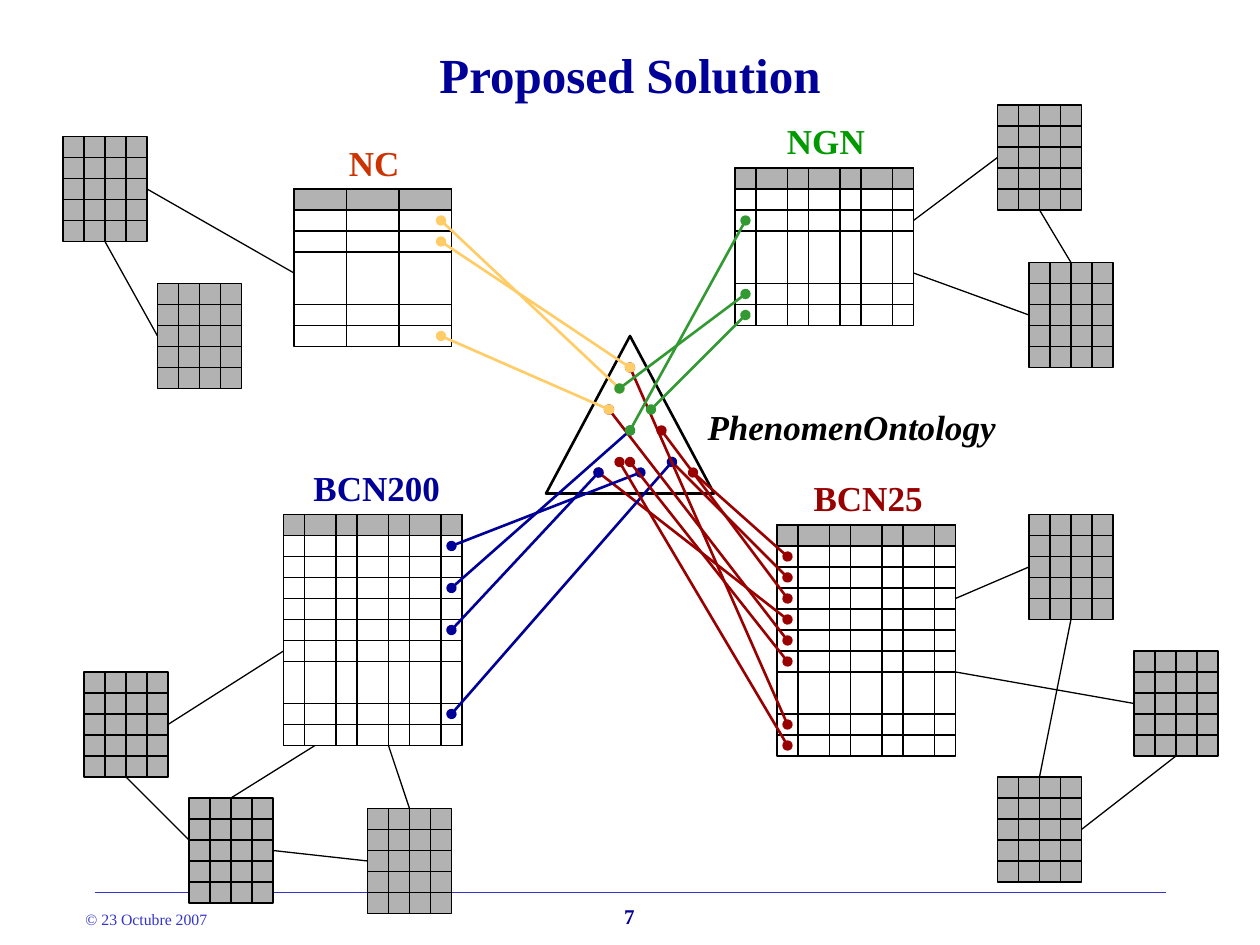
"""Build the Proposed Solution slide: four source tables linked to a shared ontology."""
from dataclasses import dataclass
from typing import NamedTuple, Union

from lxml import etree
from pptx import Presentation
from pptx.dml.color import RGBColor
from pptx.enum.shapes import MSO_CONNECTOR, MSO_SHAPE
from pptx.enum.text import MSO_ANCHOR, MSO_AUTO_SIZE, PP_ALIGN
from pptx.oxml.ns import qn
from pptx.util import Inches, Pt

STRAIGHT = MSO_CONNECTOR.STRAIGHT
RECTANGLE, TRIANGLE = MSO_SHAPE.RECTANGLE, MSO_SHAPE.ISOSCELES_TRIANGLE
LEFT_ALIGN, CENTER = PP_ALIGN.LEFT, PP_ALIGN.CENTER
TOP_ANCHOR, MIDDLE = MSO_ANCHOR.TOP, MSO_ANCHOR.MIDDLE
NO_RESIZE, FIT_TEXT = MSO_AUTO_SIZE.NONE, MSO_AUTO_SIZE.SHAPE_TO_FIT_TEXT
TOP, LEFT, BOTTOM, RIGHT = range(4)
UNITS_PER_INCH = 12


@dataclass(frozen=True)
class Theme:
    font: str = "Times New Roman"
    black: str = "000000"
    gray: str = "B2B2B2"
    navy: str = "000099"
    footer: str = "3333CC"
    orange: str = "CC3300"
    green: str = "009900"
    red: str = "990000"
    green_link: str = "339933"
    yellow_link: str = "FFCC66"
    title_size: float = 28
    label_size: float = 20
    number_size: float = 12
    footer_size: float = 9
    thin: float = 0.75
    footer_rule: float = 1
    thick: float = 1.5


THEME = Theme()


class Point(NamedTuple):
    x: float
    y: float


class Side(NamedTuple):
    node: str
    site: int


class Table(NamedTuple):
    name: str
    x: int
    y: int
    width: int
    height: int
    columns: tuple
    rows: tuple


class Label(NamedTuple):
    text: str
    box: tuple
    color: str
    italic: bool = False


class Links(NamedTuple):
    color: str
    ends: tuple


End = Union[Point, Side]
WIDE_COLUMNS = ((0, 15), (2, 17), (5, 10), (7, 12))
TALL_ROWS, SHORT_ROWS = (4, 8, 12, 18), (4, 11)
TABLES = (
    Table("BCN200", 27, 49, 17, 22, WIDE_COLUMNS, TALL_ROWS),
    Table("BCN25", 74, 50, 17, 22, WIDE_COLUMNS, TALL_ROWS),
    Table("NGN", 70, 16, 17, 15, WIDE_COLUMNS, SHORT_ROWS),
    Table("NC", 28, 18, 15, 15, ((0, 15), (5, 10)), SHORT_ROWS),
)
SATELLITES = {
    "BCN200 left": Point(8, 64), "BCN200 lower": Point(18, 76),
    "NC left": Point(6, 13), "NC lower": Point(15, 27),
    "NGN upper": Point(95, 10), "NGN lower": Point(98, 25),
    "BCN25 upper": Point(98, 49), "BCN25 right": Point(108, 62),
    "BCN25 lower": Point(95, 74), "BCN200 right": Point(35, 77),
}
RELATIONS = (
    (Side("BCN200 left", RIGHT), Point(27, 62)),
    (Side("BCN200 lower", TOP), Point(30, 71)),
    (Side("BCN200 right", TOP), Point(37, 71)),
    (Side("BCN200 left", BOTTOM), Point(18, 80)),
    (Side("BCN200 lower", RIGHT), Side("BCN200 right", LEFT)),
    (Side("NC left", BOTTOM), Side("NC lower", LEFT)),
    (Side("NC left", RIGHT), Point(28, 26)),
    (Side("BCN25 lower", TOP), Side("BCN25 upper", BOTTOM)),
    (Point(91, 57), Side("BCN25 upper", LEFT)),
    (Point(91, 64), Side("BCN25 right", LEFT)),
    (Side("BCN25 right", BOTTOM), Side("BCN25 lower", RIGHT)),
    (Side("NGN upper", BOTTOM), Side("NGN lower", TOP)),
    (Side("NGN upper", LEFT), Side("NGN row 4", RIGHT)),
    (Point(87, 26), Side("NGN lower", LEFT)),
)
MAPPINGS = (
    Links(THEME.red, ((75, 53, 66, 45), (75, 55, 64, 44), (75, 57, 63, 41), (75, 59, 57, 45))),
    Links(THEME.navy, ((43, 60, 57, 45), (43, 68, 64, 44), (43, 56, 60, 41), (43, 52, 61, 45))),
    Links(THEME.red, ((58, 39, 75, 61), (75, 63, 60, 44), (75, 69, 60, 35), (75, 71, 59, 44))),
    Links(THEME.green_link, ((71, 21, 60, 41), (71, 30, 62, 39))),
    Links(THEME.yellow_link, ((42, 32, 58, 39), (42, 23, 60, 35), (42, 21, 59, 37))),
    Links(THEME.green_link, ((71, 28, 59, 37),)),
)
LABELS = (
    Label("NC", (2.67, 1.07, 0.6, 0.44), THEME.orange),
    Label("NGN", (6.14, 0.9, 0.83, 0.44), THEME.green),
    Label("BCN200", (2.37, 3.65, 1.24, 0.44), THEME.navy),
    Label("BCN25", (6.34, 3.73, 1.1, 0.44), THEME.red),
    Label("PhenomenOntology", (5.51, 3.17, 2.5, 0.44), THEME.black, True),
)


def grid(units: float) -> Inches:
    return Inches(units / UNITS_PER_INCH)


def add_text(slide, text: str, box: tuple, *, size: float, color: str, bold: bool = True,
             italic: bool = False, align=CENTER, anchor=TOP_ANCHOR, wrap: bool = False) -> None:
    frame = slide.shapes.add_textbox(*map(Inches, box)).text_frame
    frame.word_wrap = wrap
    frame.auto_size = NO_RESIZE if wrap else FIT_TEXT
    frame.vertical_anchor = anchor
    paragraph = frame.paragraphs[0]
    paragraph.alignment = align
    run = paragraph.add_run()
    run.text = text
    run.font.name, run.font.size = THEME.font, Pt(size)
    run.font.bold, run.font.italic = bold, italic
    run.font.color.rgb = RGBColor.from_string(color)


def add_outline(shapes, x: float, y: float, width: float, height: float, *,
                kind=RECTANGLE, fill: str = "", weight: float = THEME.thin):
    shape = shapes.add_shape(kind, grid(x), grid(y), grid(width), grid(height))
    shape.shadow.inherit = False
    if fill:
        shape.fill.solid()
        shape.fill.fore_color.rgb = RGBColor.from_string(fill)
    else:
        shape.fill.background()
    shape.line.color.rgb = RGBColor.from_string(THEME.black)
    shape.line.width = Pt(weight)
    return shape


def add_line(shapes, start: Point, end: Point, *, color: str = THEME.black,
             weight: float = THEME.thin, dots: bool = False):
    connector = shapes.add_connector(STRAIGHT, *map(grid, (*start, *end)))
    connector.line.color.rgb = RGBColor.from_string(color)
    connector.line.width = Pt(weight)
    properties = connector._element.spPr
    if dots:
        for tag in ("a:headEnd", "a:tailEnd"):
            etree.SubElement(properties.find(qn("a:ln")), qn(tag), type="oval")
    etree.SubElement(properties, qn("a:effectLst"))
    return connector


def draw_table(slide, table: Table) -> dict:
    shapes = slide.shapes.add_group_shape().shapes
    add_outline(shapes, table.x, table.y, table.width, 2, fill=THEME.gray)
    for first, last in table.columns:
        add_outline(shapes, table.x + first, table.y, last - first, table.height)
    return {f"{table.name} row {row}": add_outline(shapes, table.x, table.y + row, table.width, 2)
            for row in table.rows}


def draw_satellite(slide, corner: Point):
    x, y = corner
    shapes = slide.shapes.add_group_shape().shapes
    base = add_outline(shapes, x, y, 8, 10, fill=THEME.gray)
    add_outline(shapes, x, y + 2, 8, 6)
    add_outline(shapes, x + 2, y, 4, 10)
    add_line(shapes, Point(x + 4, y), Point(x + 4, y + 10))
    for offset in (4, 6):
        add_line(shapes, Point(x, y + offset), Point(x + 8, y + offset))
    return base


def draw_relation(slide, nodes: dict, start: End, end: End) -> None:
    origin, target = (place if isinstance(place, Point) else Point(0, 0) for place in (start, end))
    connector = add_line(slide.shapes, origin, target)
    if isinstance(start, Side):
        connector.begin_connect(nodes[start.node], start.site)
    if isinstance(end, Side):
        connector.end_connect(nodes[end.node], end.site)


def main() -> None:
    presentation = Presentation()
    presentation.slide_width, presentation.slide_height = Inches(10), Inches(7.5)
    slide = presentation.slides.add_slide(presentation.slide_layouts[6])
    add_line(slide.shapes, Point(9, 85), Point(111, 85), color=THEME.footer, weight=THEME.footer_rule)
    add_text(slide, "© 23 Octubre 2007", (0.58, 7.17, 1.18, 0.25), size=THEME.footer_size,
             color=THEME.footer, bold=False, align=LEFT_ALIGN)
    add_text(slide, "7", (4.52, 7.12, 0.95, 0.3), size=THEME.number_size, color=THEME.navy)
    add_outline(slide.shapes, 52, 32, 16, 15, kind=TRIANGLE, weight=THEME.thick)
    nodes = {}
    for table in TABLES:
        nodes.update(draw_table(slide, table))
    for name, corner in SATELLITES.items():
        nodes[name] = draw_satellite(slide, corner)
    for start, end in RELATIONS:
        draw_relation(slide, nodes, start, end)
    for links in MAPPINGS:
        for x1, y1, x2, y2 in links.ends:
            add_line(slide.shapes, Point(x1, y1), Point(x2, y2), color=links.color,
                     weight=THEME.thick, dots=True)
    for label in LABELS:
        add_text(slide, label.text, label.box, size=THEME.label_size, color=label.color,
                 italic=label.italic)
    add_text(slide, "Proposed Solution", (0.75, 0.17, 8.5, 0.83), size=THEME.title_size,
             color=THEME.navy, anchor=MIDDLE, wrap=True)
    presentation.save("out.pptx")


if __name__ == "__main__":
    main()
